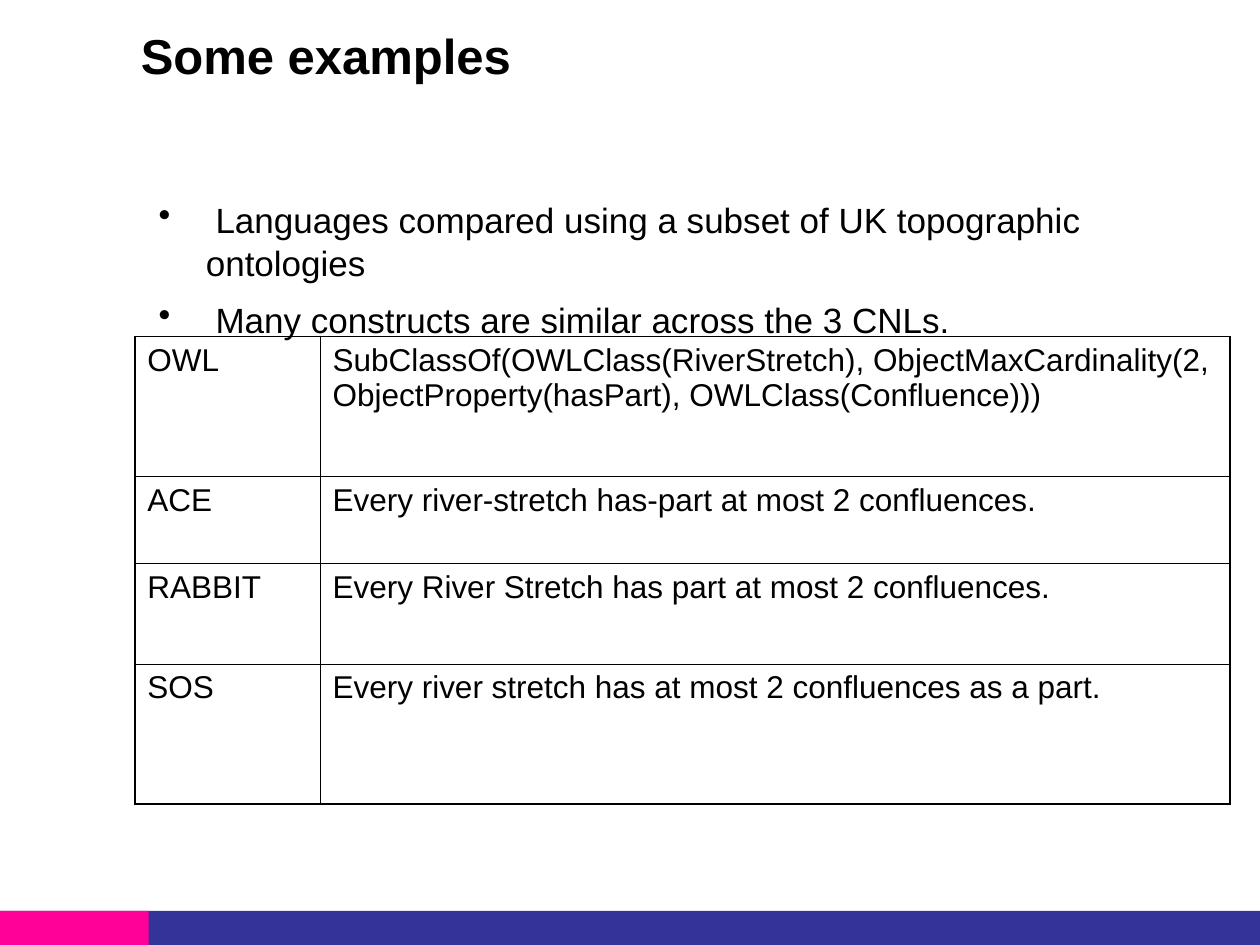
import pptx
import pptx.dml.color
import pptx.enum.shapes
import pptx.oxml
import pptx.oxml.ns
import pptx.util

COLORS = {"text": "000000", "bar": "333399", "accent": "FF0099"}
EXAMPLES = [
    ("OWL", "SubClassOf(OWLClass(RiverStretch), ObjectMaxCardinality(2, "
            "ObjectProperty(hasPart), OWLClass(Confluence)))"),
    ("ACE", "Every river-stretch has-part at most 2 confluences."),
    ("RABBIT", "Every River Stretch has part at most 2 confluences."),
    ("SOS", "Every river stretch has at most 2 confluences as a part."),
]
NS = pptx.oxml.ns.nsdecls("a")


class Deck:
    """Style and current slide; lengths are in cells of a 100 x 75 grid."""
    font = "Arial"
    cols, rows = 100, 75
    outer, inner = 1.08, 0.45  # table line widths in points

    def __init__(self):
        self.prs = pptx.Presentation()
        self.prs.slide_width = pptx.util.Inches(10)
        self.prs.slide_height = pptx.util.Inches(7.5)
        self.s = self.prs.slides.add_slide(self.prs.slide_layouts[6])

    def x(self, n):
        return round(self.prs.slide_width * n / self.cols)

    def y(self, n):
        return round(self.prs.slide_height * n / self.rows)

    def box(self, left, top, width, height):
        return self.x(left), self.y(top), self.x(width), self.y(height)

    def color(self, name):
        return pptx.dml.color.RGBColor.from_string(COLORS[name])

    def run(self, p, text, size, bold=False):
        r = p.add_run()
        r.text = text
        r.font.name = self.font
        r.font.size = pptx.util.Pt(size)
        r.font.bold = bold
        r.font.color.rgb = self.color("text")

    def rect(self, at, fill):
        sp = self.s.shapes.add_shape(
            pptx.enum.shapes.MSO_SHAPE.RECTANGLE, *self.box(*at))
        sp.shadow.inherit = False
        sp.fill.solid()
        sp.fill.fore_color.rgb = self.color(fill)
        sp.line.fill.background()

    def text(self, at, lines, size, bold=False, bullets=False):
        tf = self.s.shapes.add_textbox(*self.box(*at)).text_frame
        tf.word_wrap = True
        for i, line in enumerate(lines):
            p = tf.add_paragraph() if i else tf.paragraphs[0]
            if bullets:
                self.bullet(p)
            self.run(p, line, size, bold)

    def bullet(self, p):
        p.space_before = pptx.util.Pt(7.5)
        p.line_spacing = 1.04
        pPr = p._p.get_or_add_pPr()
        pPr.set("marL", str(self.x(4.75)))
        pPr.set("indent", str(-self.x(3.75)))
        pPr.append(pptx.oxml.parse_xml(f'<a:buChar {NS} char="•"/>'))

    def borders(self, cell, outer_sides):
        tcPr = cell._tc.get_or_add_tcPr()
        for i, side in enumerate("LRTB"):
            width = pptx.util.Pt(self.outer if side in outer_sides else self.inner)
            tcPr.insert(i, pptx.oxml.parse_xml(
                f'<a:ln{side} {NS} w="{width}"><a:solidFill>'
                f'<a:srgbClr val="{COLORS["text"]}"/></a:solidFill></a:ln{side}>'))

    def table(self, left, top, widths, heights, data, size):
        at = self.box(left, top, sum(widths), sum(heights))
        t = self.s.shapes.add_table(len(heights), len(widths), *at).table
        t.first_row = t.horz_banding = False
        for col, width in zip(t.columns, widths):
            col.width = self.x(width)
        for row, height in zip(t.rows, heights):
            row.height = self.y(height)
        last_row, last_col = len(heights) - 1, len(widths) - 1
        for i, line in enumerate(data):
            for j, value in enumerate(line):
                cell = t.cell(i, j)
                cell.fill.background()
                edges = {"L": j == 0, "R": j == last_col,
                         "T": i == 0, "B": i == last_row}
                self.borders(cell, [side for side in edges if edges[side]])
                p = cell.text_frame.paragraphs[0]
                p.space_before = pptx.util.Pt(6.8)
                self.run(p, value, size)


def main():
    deck = Deck()

    # Footer band
    deck.rect((0, 72.3, 100, 2.7), "bar")
    deck.rect((0, 72.3, 11.8, 2.7), "accent")

    # Title and bullets
    deck.text((10.2, 1.5, 84.6, 9.1), ["Some examples"], 28, bold=True)
    deck.text((10.6, 15.1, 86.9, 50), [
        " Languages compared using a subset of UK topographic ontologies",
        " Many constructs are similar across the 3 CNLs.",
    ], 20, bullets=True)

    # One sentence in each language
    deck.table(10.7, 26.7, [14.7, 72.2], [11.1, 6.9, 8, 11.1], EXAMPLES, 18)

    deck.prs.save("out.pptx")


if __name__ == "__main__":
    main()
